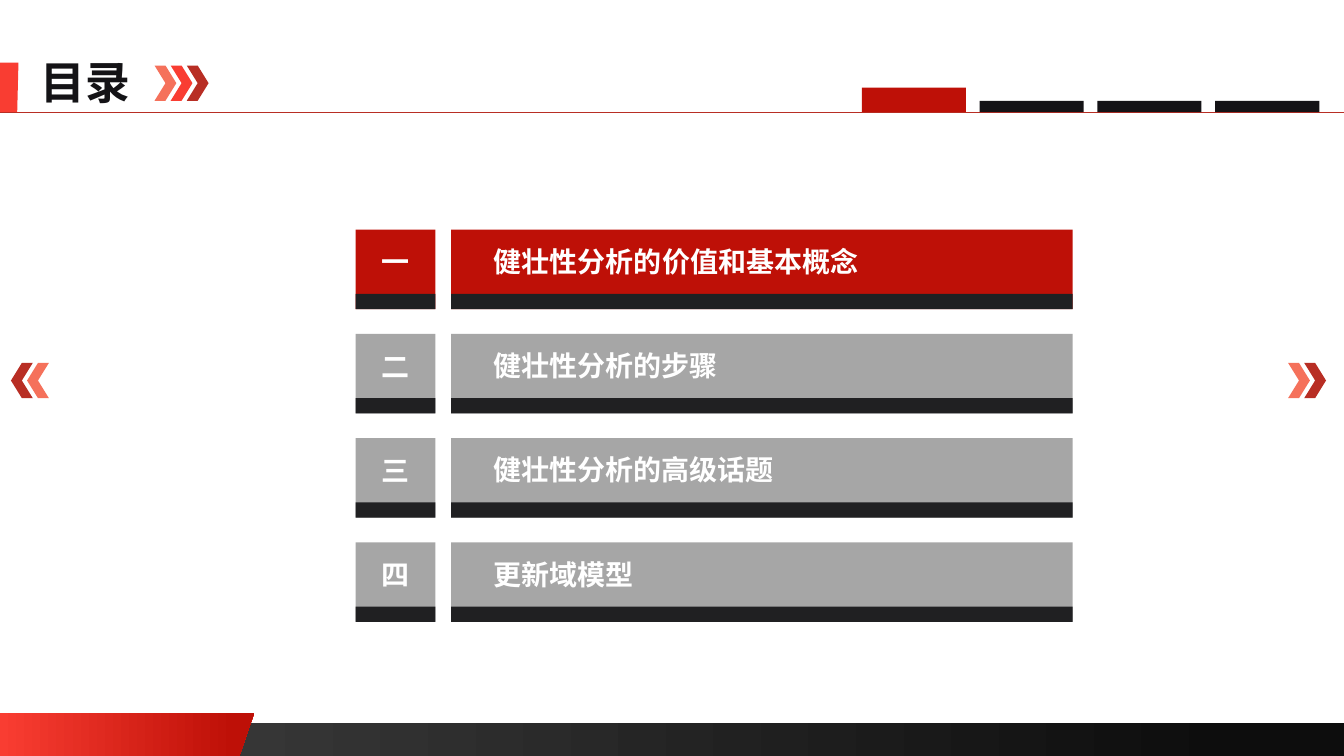
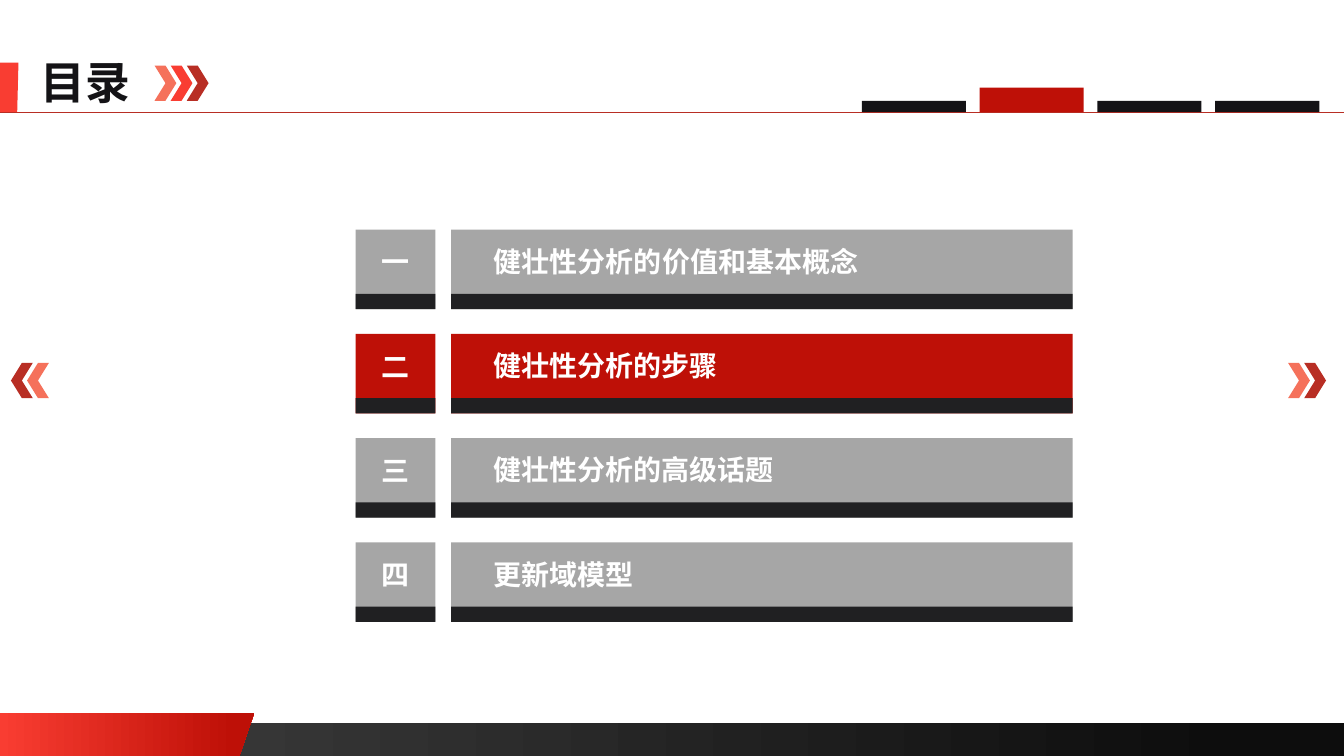
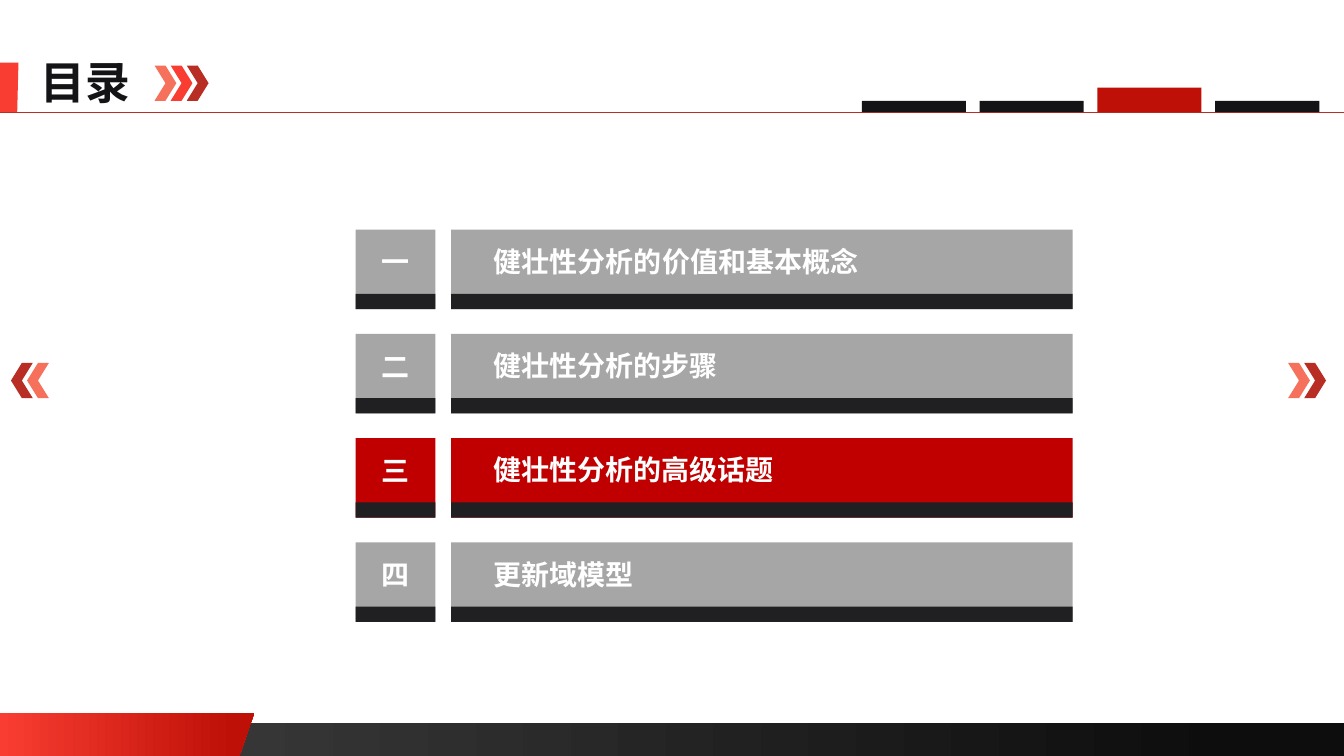
from lxml import etree
from pptx import Presentation
from pptx import util as u
from pptx.dml.color import RGBColor
from pptx.enum import shapes, text
from pptx.oxml.ns import qn

# The slide is a grid of square cells; every length below is in cells
COLUMNS, ROWS = 160, 90
CELL = u.Inches(7.5) / ROWS
FONT = "Noto Sans CJK SC"
COLORS = {
    "ink": "141316", "base": "202022", "idle": "A6A6A6", "white": "FFFFFF",
    "active": "BE1007", "crimson": "C00000", "bright": "F93D32",
    "coral": "F5715B", "dark": "B82E24", "coal": "404040", "black": "0D0D0D",
}
TITLE = "目录"
CHAPTERS = [
    ("一", "健壮性分析的价值和基本概念"),
    ("二", "健壮性分析的步骤"),
    ("三", "健壮性分析的高级话题"),
    ("四", "更新域模型"),
]
ACTIVE_FILLS = ["active", "active", "crimson"]  # one slide for each


def cells(*counts):
    return [u.Emu(round(count * CELL)) for count in counts]


def rgb(name):
    return RGBColor.from_string(COLORS[name])


def write(box, words, size=20, color="white", align=text.PP_ALIGN.CENTER):
    frame = box.text_frame
    frame.word_wrap = False
    frame.auto_size = text.MSO_AUTO_SIZE.SHAPE_TO_FIT_TEXT
    frame.vertical_anchor = text.MSO_ANCHOR.TOP
    para = frame.paragraphs[0]
    para.alignment = align
    span = para.add_run()
    span.text = words
    span.font.size, span.font.bold, span.font.name = u.Pt(size), True, FONT
    span.font.color.rgb = rgb(color)
    # East Asian glyphs take their own font entry
    span.font._element.find(qn("a:latin")).addnext(
        etree.Element(qn("a:ea"), typeface=FONT))


class AgendaDeck:
    def __init__(self):
        self.deck = Presentation()
        self.deck.slide_width, self.deck.slide_height = cells(COLUMNS, ROWS)
        self.page = None

    # Basic elements
    def paint(self, shape, *colors):
        shape.shadow.inherit = False
        shape.line.fill.background()
        if len(colors) == 1:
            shape.fill.solid()
            shape.fill.fore_color.rgb = rgb(colors[0])
            return
        shape.fill.gradient()
        shape.fill.gradient_angle = 0
        for stop, color, position in zip(shape.fill.gradient_stops, colors, (0, 0.92)):
            stop.color.rgb = rgb(color)
            stop.position = position

    def block(self, left, top, width, height, *colors,
              kind=shapes.MSO_SHAPE.RECTANGLE):
        shape = self.page.shapes.add_shape(kind, *cells(left, top, width, height))
        self.paint(shape, *colors)
        return shape

    def outline(self, points, *colors):
        start, *rest = [cells(*point) for point in points]
        builder = self.page.shapes.build_freeform(*start)
        builder.add_line_segments(rest, close=True)
        self.paint(builder.convert_to_shape(), *colors)

    def label(self, left, top, width, words):
        write(self.page.shapes.add_textbox(*cells(left, top, width, 5.3)), words)

    def rule(self, top, color):
        line = self.page.shapes.add_connector(
            shapes.MSO_CONNECTOR.STRAIGHT, *cells(0, top, COLUMNS, top))
        line.line.color.rgb = rgb(color)
        line.line.width = u.Pt(0.5)
        etree.SubElement(line._element.spPr, qn("a:effectLst"))

    def chevrons(self, left, top, *colors, turn=0):
        for index, color in enumerate(colors):
            arrow = self.block(left + index * 1.92, top, 2.6, 4.2, color,
                               kind=shapes.MSO_SHAPE.CHEVRON)
            arrow.rotation = turn

    # Parts of a slide
    def add_page(self, title):
        self.page = self.deck.slides.add_slide(self.deck.slide_layouts[5])
        # Bottom band and title marker
        self.block(0, 86.05, COLUMNS, 3.95, "coal", "black")
        self.outline([(0, 84.9), (30.25, 84.9), (28.5, 90), (0, 90)],
                     "bright", "active")
        self.outline([(0, 7.45), (2.2, 7.45), (2.05, 13.4), (0, 13.4)], "bright")
        # Title
        box = self.page.shapes.title
        box.left, box.top, box.width, box.height = cells(3.6, 5.9, 13.2, 7.7)
        write(box, title, size=32, color="ink", align=text.PP_ALIGN.LEFT)
        self.rule(13.35, "dark")
        # Arrows beside the title and at both edges
        self.chevrons(18.4, 7.8, "coral", "bright", "dark")
        self.chevrons(153.35, 43.2, "coral", "dark")
        self.chevrons(1.3, 43.2, "dark", "coral", turn=180)

    def tabs(self, active):
        for index in range(len(CHAPTERS)):
            top, color = (10.45, "active") if index == active else (12, "ink")
            self.block(102.6 + index * 14.02, top, 12.4, 13.35 - top, color)

    def chapter(self, index, number, words, fill):
        top = 27.35 + index * 12.41
        for left, width in ((42.35, 9.5), (53.7, 74)):
            self.block(left, top, width, 9.45, fill)
            self.block(left, top + 7.65, width, 1.8, "base")
        self.label(44.2, top + 1.2, 5.8, number)
        # The box is as wide as its characters plus the insets
        self.label(57.4, top + 1.15, len(words) * 3.36 + 2.5, words)


def main():
    agenda = AgendaDeck()
    for active, active_fill in enumerate(ACTIVE_FILLS):
        agenda.add_page(TITLE)
        agenda.tabs(active)
        for index, (number, words) in enumerate(CHAPTERS):
            fill = active_fill if index == active else "idle"
            agenda.chapter(index, number, words, fill)
    agenda.deck.save("out.pptx")


if __name__ == "__main__":
    main()
